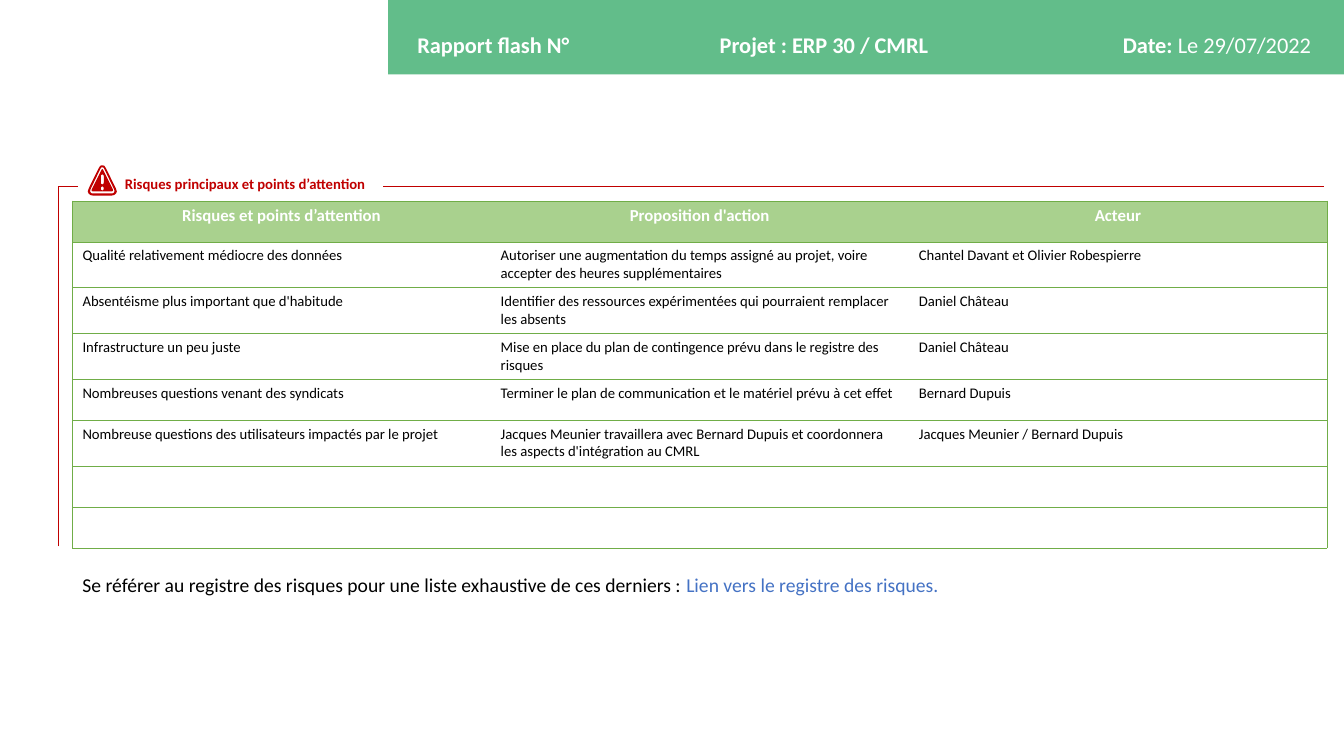
from lxml.etree import SubElement
from pptx import Presentation
from pptx.dml.color import RGBColor
from pptx.enum.shapes import MSO_CONNECTOR, MSO_SHAPE
from pptx.enum.text import MSO_ANCHOR, MSO_AUTO_SIZE, PP_ALIGN
from pptx.oxml.ns import qn
from pptx.util import Pt

COLORS = {
    "banner": "62BD8A",
    "header": "A9D18E",
    "grid": "70AD47",
    "alert": "C00000",
    "link": "4472C4",
    "text": "000000",
    "white": "FFFFFF",
}
FONT = "Calibri"

RISK_ROWS = [
    ("Risques et points d’attention", "Proposition d'action", "Acteur"),
    ("Qualité relativement médiocre des données",
     "Autoriser une augmentation du temps assigné au projet, voire accepter des heures supplémentaires",
     "Chantel Davant et Olivier Robespierre"),
    ("Absentéisme plus important que d'habitude",
     "Identifier des ressources expérimentées qui pourraient remplacer les absents",
     "Daniel Château"),
    ("Infrastructure un peu juste",
     "Mise en place du plan de contingence prévu dans le registre des risques",
     "Daniel Château"),
    ("Nombreuses questions venant des syndicats",
     "Terminer le plan de communication et le matériel prévu à cet effet",
     "Bernard Dupuis"),
    ("Nombreuse questions des utilisateurs impactés par le projet",
     "Jacques Meunier travaillera avec Bernard Dupuis et coordonnera les aspects d'intégration au CMRL",
     "Jacques Meunier / Bernard Dupuis"),
    ("", "", ""),
    ("", "", ""),
]

# Right halves of the warning sign's outlines: distance from its axis and
# height on the slide, in tenths of a point.
SIGN_AXIS = 731
SIGN_OUTLINES = [
    [(0, 1181), (14, 1184), (26, 1202), (97, 1346), (104, 1368), (98, 1383), (84, 1394), (68, 1397)],
    [(0, 1195), (9, 1198), (15, 1208), (85, 1354), (87, 1368), (80, 1380), (68, 1382)],
    [(0, 1208), (5, 1212), (47, 1296), (76, 1354), (76, 1364), (68, 1368)],
    [(0, 1246), (8, 1250), (11, 1260), (11, 1303), (8, 1314), (0, 1318)],
    [(0, 1332), (8, 1336), (11, 1346), (8, 1357), (0, 1361)],
]


def color(name):
    return RGBColor.from_string(COLORS[name])


def set_font(font, size, color_name, bold=False):
    font.name = FONT
    font.size = Pt(size)
    font.bold = bold
    font.color.rgb = color(color_name)


def add_span(para, text, size, color_name, bold=False):
    span = para.add_run()
    span.text = text
    set_font(span.font, size, color_name, bold)


def paint(shape, color_name):
    shape.shadow.inherit = False
    shape.fill.solid()
    shape.fill.fore_color.rgb = color(color_name)
    shape.line.fill.background()


def add_box(slide, left, top, width, height, color_name):
    box = slide.shapes.add_shape(MSO_SHAPE.RECTANGLE, Pt(left), Pt(top), Pt(width), Pt(height))
    paint(box, color_name)
    return box


def add_rule(slide, start_x, start_y, end_x, end_y):
    rule = slide.shapes.add_connector(
        MSO_CONNECTOR.STRAIGHT, Pt(start_x), Pt(start_y), Pt(end_x), Pt(end_y))
    rule.line.color.rgb = color("alert")
    rule.line.width = Pt(1)
    SubElement(rule._element.spPr, qn("a:effectLst"))


def add_banner(slide):
    add_box(slide, 277.2, -2, 684.7, 55.2, "banner")
    title = slide.shapes.title
    slide.shapes._spTree.append(title._element)
    title.left, title.top, title.width, title.height = Pt(290.9), Pt(13.3), Pt(657.4), Pt(39.6)
    frame = title.text_frame
    frame.auto_size = MSO_AUTO_SIZE.NONE
    frame.vertical_anchor = MSO_ANCHOR.MIDDLE
    para = frame.paragraphs[0]
    para.alignment = PP_ALIGN.LEFT
    para.line_spacing = 0.9
    tabs = SubElement(para._p.get_or_add_pPr(), qn("a:tabLst"))
    for position in (216, 504):
        SubElement(tabs, qn("a:tab"), pos=str(Pt(position)), algn="l")
    add_span(para, "Rapport flash N°\tProjet : ERP 30 / CMRL\tDate: ", 16, "white", True)
    add_span(para, "Le 29/07/2022", 16, "white")


def set_borders(cell, visible_sides):
    properties = cell._tc.get_or_add_tcPr()
    for side in "LRTB":
        line = SubElement(properties, qn(f"a:ln{side}"), w=str(Pt(0.5)))
        if side in visible_sides:
            fill = SubElement(line, qn("a:solidFill"))
            SubElement(fill, qn("a:srgbClr"), val=COLORS["grid"])
        else:
            SubElement(line, qn("a:noFill"))


def add_risk_table(slide):
    row_count, column_count = len(RISK_ROWS), len(RISK_ROWS[0])
    row_height = 29.3
    table = slide.shapes.add_table(
        row_count, column_count, Pt(51.8), Pt(143.5), Pt(896.1), Pt(row_height * row_count)).table
    table.horz_banding = False
    table.first_row = False
    for row_index, texts in enumerate(RISK_ROWS):
        table.rows[row_index].height = Pt(row_height)
        for column_index, text in enumerate(texts):
            cell = table.cell(row_index, column_index)
            sides = {0: "LTB", column_count - 1: "RTB"}.get(column_index, "TB")
            set_borders(cell, sides)
            cell.text = text
            para = cell.text_frame.paragraphs[0]
            if row_index == 0:
                cell.fill.solid()
                cell.fill.fore_color.rgb = color("header")
                para.alignment = PP_ALIGN.CENTER
                set_font(para.font, 12, "white", True)
            else:
                cell.fill.background()
                set_font(para.font, 10.5, "text")


def add_warning_sign(slide):
    builder = None
    for half in SIGN_OUTLINES:
        points = [(SIGN_AXIS + reach, y) for reach, y in half]
        points += [(SIGN_AXIS - reach, y) for reach, y in reversed(half)]
        if builder is None:
            builder = slide.shapes.build_freeform(*points[0], scale=Pt(0.1))
        else:
            builder.move_to(*points[0])
        builder.add_line_segments(points[1:], close=True)
    paint(builder.convert_to_shape(), "alert")


def add_section_label(slide):
    label = add_box(slide, 89.3, 126, 184.3, 10.1, "white")
    frame = label.text_frame
    frame.word_wrap = True
    frame.vertical_anchor = MSO_ANCHOR.MIDDLE
    frame.margin_left = frame.margin_top = frame.margin_bottom = 0
    frame.margin_right = Pt(6)
    para = frame.paragraphs[0]
    para.text = "Risques principaux et points d’attention"
    para.alignment = PP_ALIGN.LEFT
    set_font(para.font, 10.5, "alert", True)


def add_register_note(slide):
    note = slide.shapes.add_textbox(Pt(51.8), Pt(406), Pt(894.2), Pt(24.5))
    note.text_frame.word_wrap = True
    para = note.text_frame.paragraphs[0]
    add_span(para, "Se référer au registre des risques pour une liste exhaustive de ces derniers : ", 14, "text")
    add_span(para, "Lien vers le registre des risques.", 14, "link")


def main():
    deck = Presentation()
    deck.slide_width, deck.slide_height = Pt(960), Pt(540)
    slide = deck.slides.add_slide(deck.slide_layouts[5])
    add_banner(slide)
    add_risk_table(slide)
    add_warning_sign(slide)
    add_rule(slide, 247, 133.2, 945.4, 133.2)
    add_section_label(slide)
    add_rule(slide, 41.8, 133.2, 55.4, 133.2)
    add_rule(slide, 41.8, 390.2, 41.8, 133.2)
    add_register_note(slide)
    deck.save("out.pptx")


if __name__ == "__main__":
    main()
